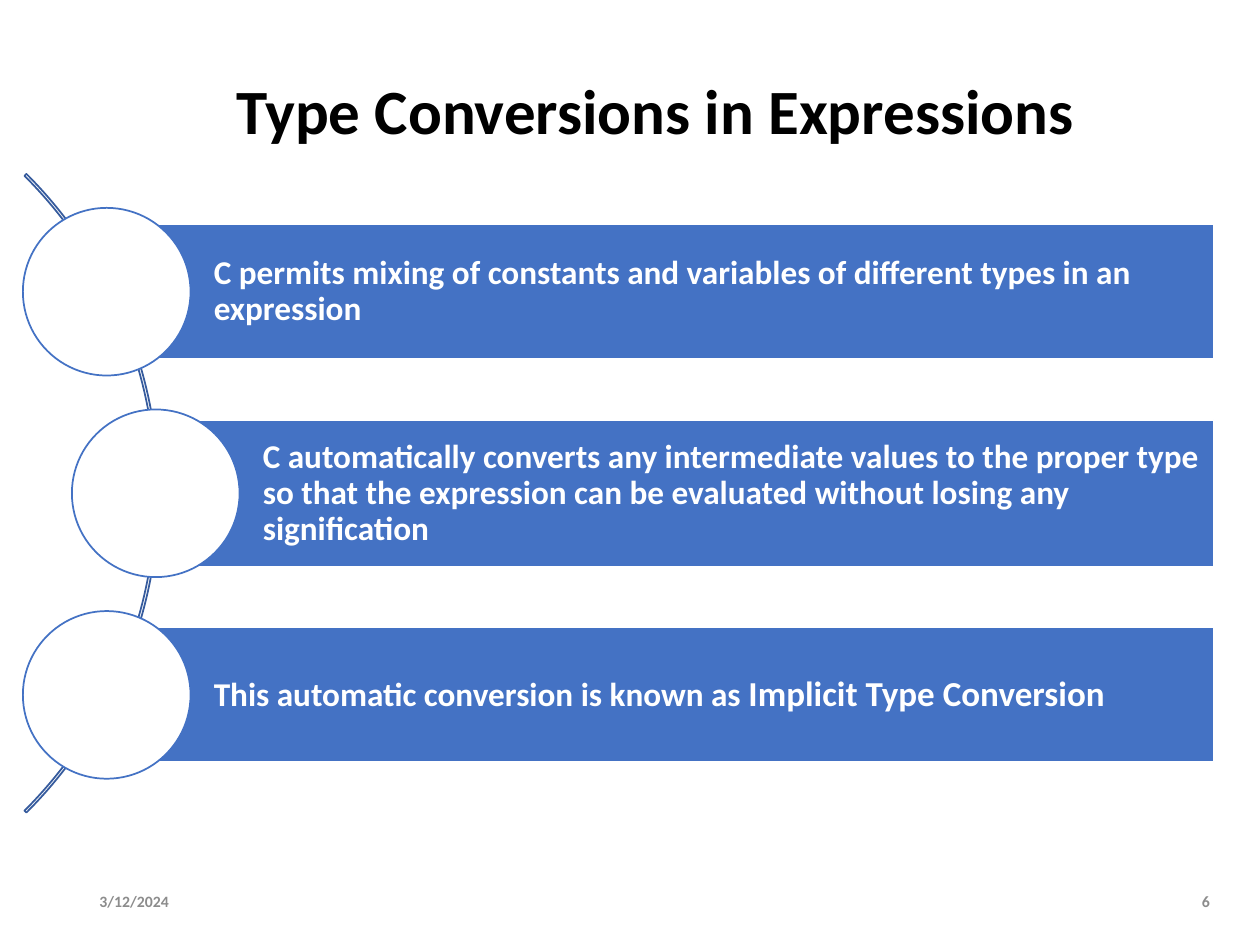
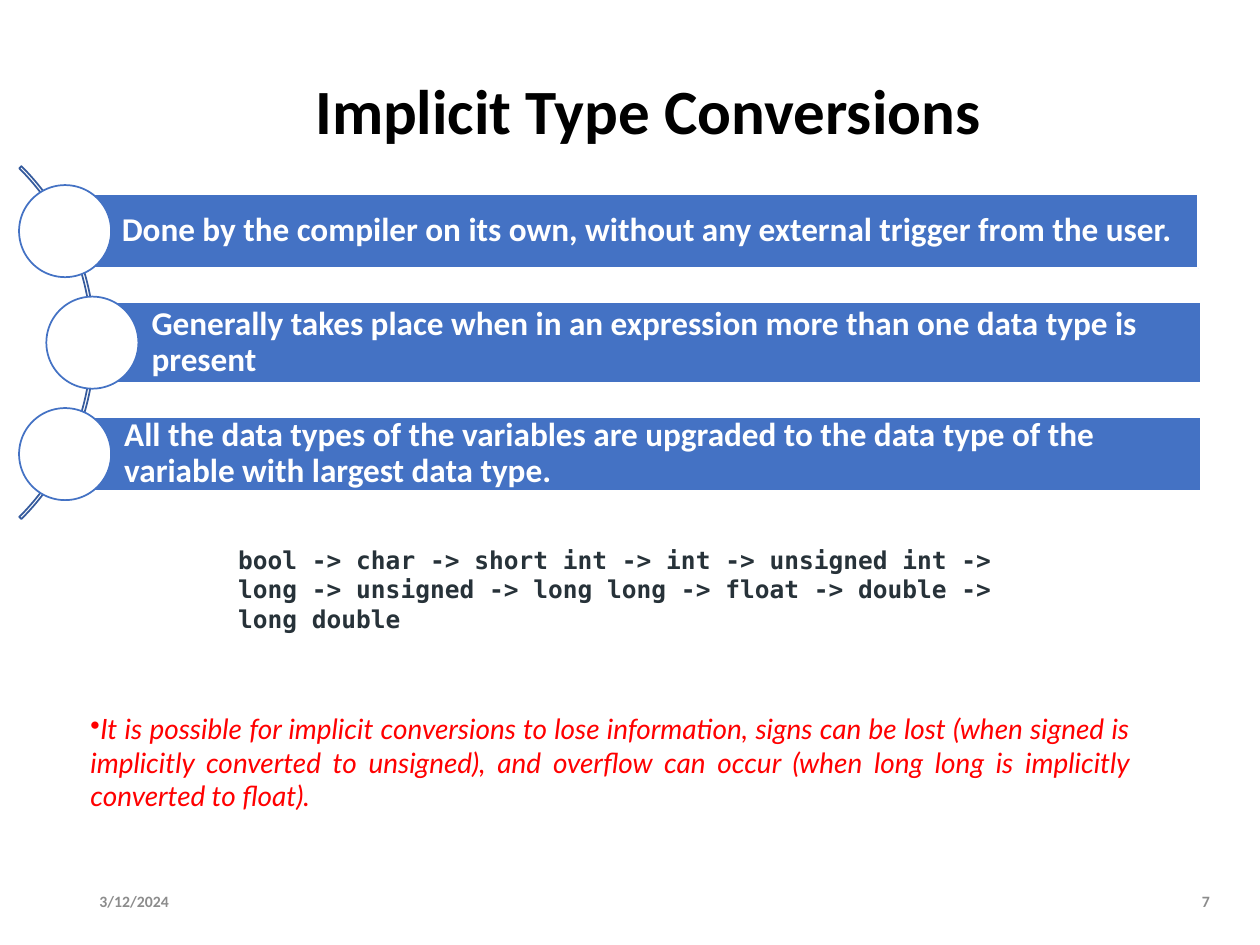
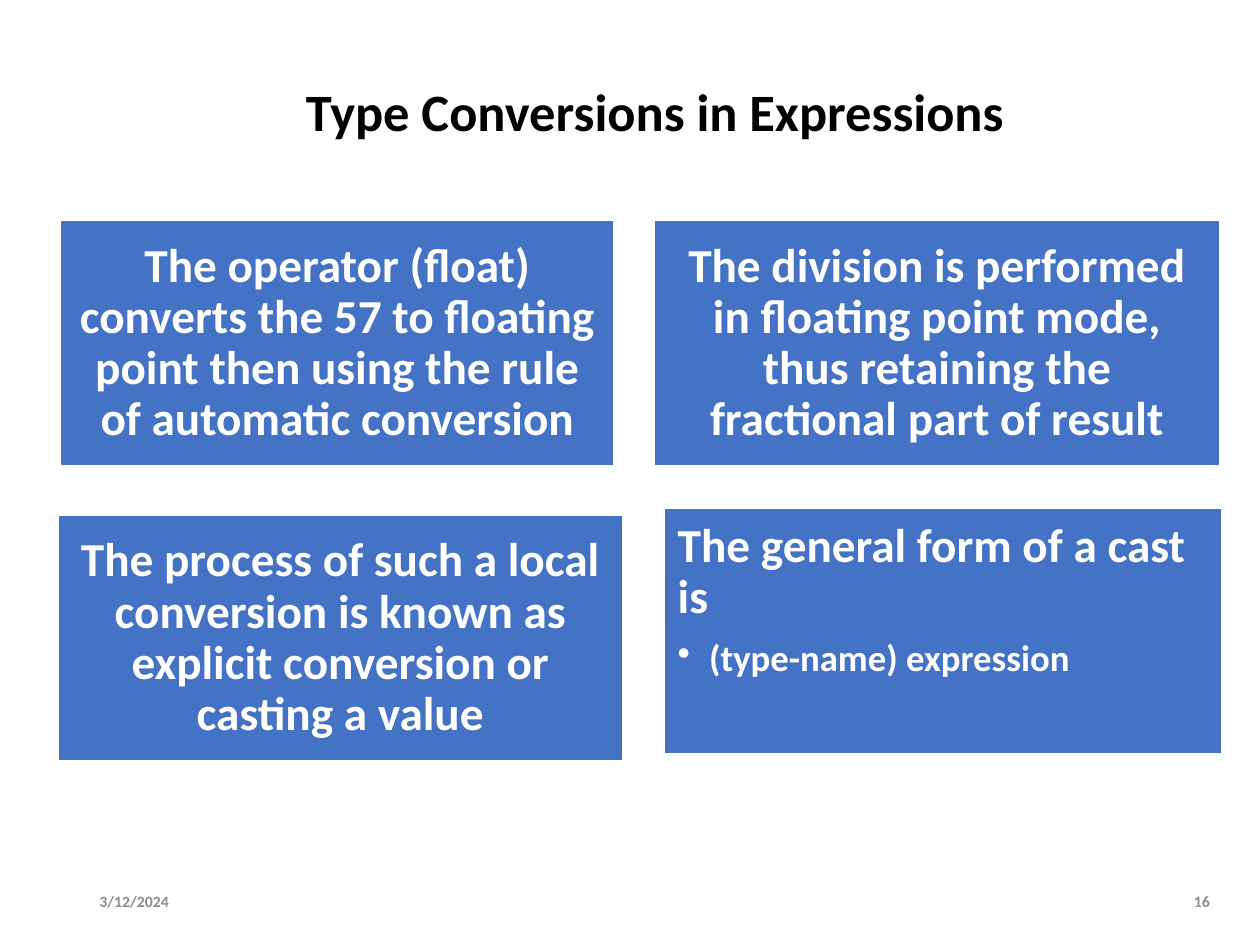
from dataclasses import dataclass

from lxml.etree import Element
from pptx import Presentation
from pptx.dml.color import RGBColor
from pptx.enum.shapes import MSO_SHAPE
from pptx.enum.text import MSO_ANCHOR, PP_ALIGN
from pptx.oxml.ns import qn
from pptx.util import Pt


@dataclass(frozen=True)
class Theme:
    # Colours
    black: str = "000000"
    white: str = "FFFFFF"
    blue: str = "4472C4"
    dark_blue: str = "365B9D"
    grey: str = "8C8C8C"
    code: str = "273239"
    red: str = "FF0000"
    # Fonts
    body_font: str = "Calibri"
    code_font: str = "DejaVu Sans Mono"
    note_font: str = "Lato"
    # Type sizes
    title_size: int = 36
    small_title_size: int = 30
    card_size: int = 27
    card_item_size: int = 21
    row_size: int = 19
    term_size: int = 20
    note_size: int = 16
    code_size: int = 14
    footer_size: int = 9


@dataclass(frozen=True)
class Row:
    """One bar of a curved list, with the circle at its left end."""
    pieces: tuple  # (text, size) pairs
    center_x: float
    height: float
    shift: float = 0


class Deck:
    def __init__(self, theme):
        self.theme = theme
        self.presentation = Presentation()
        self.presentation.slide_width = Pt(720)
        self.presentation.slide_height = Pt(540)
        self.slide = None

    # Slide frame: title, date and number
    def new_slide(self, title, number, title_size=None):
        theme = self.theme
        self.slide = self.presentation.slides.add_slide(
            self.presentation.slide_layouts[6])
        heading = self.text_box((49.7, 40.3, 649.4, 49.7))
        self.set_text(heading.paragraphs[0], [(title, title_size or theme.title_size)],
                      theme.black, align=PP_ALIGN.CENTER, spacing=0.9)
        for label, left, width, align in (
                ("3/12/2024", 49.7, 68.4, PP_ALIGN.LEFT),
                (str(number), 670.3, 28.1, PP_ALIGN.RIGHT)):
            footer = self.text_box((left, 500.4, width, 28.8))
            self.set_text(footer.paragraphs[0], [(label, theme.footer_size)],
                          theme.grey, align=align)

    # Text
    def text_box(self, place, anchor=MSO_ANCHOR.MIDDLE, insets=None):
        frame = self.slide.shapes.add_textbox(*map(Pt, place)).text_frame
        self.set_frame(frame, anchor, insets)
        return frame

    def set_frame(self, frame, anchor, insets):
        frame.word_wrap = True
        frame.vertical_anchor = anchor
        if insets:
            (frame.margin_left, frame.margin_top,
             frame.margin_right, frame.margin_bottom) = map(Pt, insets)

    def set_text(self, paragraph, pieces, color, align=PP_ALIGN.LEFT, spacing=1.0,
                 font=None, bold=True, italic=False):
        paragraph.alignment = align
        paragraph.line_spacing = spacing
        style = paragraph.font
        style.name = font or self.theme.body_font
        style.bold = bold
        style.italic = italic
        style.color.rgb = RGBColor.from_string(color)
        style.size = Pt(pieces[0][1])
        for text, size in pieces:
            run = paragraph.add_run()
            run.text = text
            if size != pieces[0][1]:
                run.font.size = Pt(size)

    def bullet(self, paragraph, indent=0):
        properties = paragraph._p.get_or_add_pPr()
        properties.set("marL", str(Pt(indent)))
        properties.set("indent", str(-Pt(indent)))
        mark = Element(qn("a:buChar"), char="•")
        properties.find(qn("a:defRPr")).addprevious(mark)

    # Shapes
    def shape(self, kind, place, fill, line):
        shape = self.slide.shapes.add_shape(kind, *map(Pt, place))
        shape.shadow.inherit = False
        if fill:
            shape.fill.solid()
            shape.fill.fore_color.rgb = RGBColor.from_string(fill)
        else:
            shape.fill.background()
        shape.line.color.rgb = RGBColor.from_string(line)
        shape.line.width = Pt(1)
        return shape

    def panel(self, place, anchor, insets):
        panel = self.shape(MSO_SHAPE.RECTANGLE, place, self.theme.blue, self.theme.white)
        self.set_frame(panel.text_frame, anchor, insets)
        return panel.text_frame

    # Curved list: an arc with bars and circles centred on it
    def curved_list(self, rows, middle_y, step, circle, right, inset,
                    arc_left, arc_size, arc_thickness):
        theme = self.theme
        arc = self.shape(MSO_SHAPE.BLOCK_ARC,
                         (arc_left, middle_y - arc_size / 2, arc_size, arc_size),
                         None, theme.dark_blue)
        for index, value in enumerate((189, 27, arc_thickness)):
            arc.adjustments[index] = value
        for index, row in enumerate(rows):
            center_y = middle_y + (index - (len(rows) - 1) / 2) * step
            bar = self.panel((row.center_x + row.shift, center_y - row.height / 2,
                              right - row.center_x, row.height),
                             MSO_ANCHOR.MIDDLE, (inset, 3.6, 3.6, 3.6))
            self.set_text(bar.paragraphs[0], row.pieces, theme.white, spacing=0.9)
            self.shape(MSO_SHAPE.OVAL,
                       (row.center_x - circle / 2, center_y - circle / 2, circle, circle),
                       theme.white, theme.blue)

    # Card: a centred statement, or a heading with bulleted items
    def card(self, place, text, items=()):
        theme = self.theme
        frame = self.panel(place, MSO_ANCHOR.TOP if items else MSO_ANCHOR.MIDDLE, (7.9,) * 4)
        heading = frame.paragraphs[0]
        self.set_text(heading, [(text, theme.card_size)], theme.white, spacing=0.9,
                      align=PP_ALIGN.LEFT if items else PP_ALIGN.CENTER)
        for item in items:
            heading.space_after = Pt(9)
            entry = frame.add_paragraph()
            self.set_text(entry, [(item, theme.card_item_size)], theme.white, spacing=0.9)
            entry.level = 1
            self.bullet(entry, 18)


def mixed_expressions(deck):
    theme = deck.theme
    deck.new_slide("Type Conversions in Expressions", 6)
    deck.curved_list(
        [Row((("C permits mixing of constants and variables of different types "
               "in an expression", theme.row_size),), 61, 77),
         Row((("C automatically converts any intermediate values to the proper type "
               "so that the expression can be evaluated without losing any "
               "signification", theme.row_size),), 89, 84),
         Row((("This automatic conversion is known as ", theme.row_size),
              ("Implicit Type Conversion", theme.term_size)), 61, 77)],
        middle_y=281.9, step=115.2, circle=95.8, right=693.4, inset=61.2,
        arc_left=-425.5, arc_size=516.2, arc_thickness=0.003)


def implicit_conversions(deck):
    theme = deck.theme
    deck.new_slide("Implicit Type Conversions ", 7)
    deck.curved_list(
        [Row((("Done by the compiler on its own, without any external trigger "
               "from the user.", theme.row_size),), 37.2, 42.5, -1.4),
         Row((("Generally takes place when in an expression more than one data type "
               "is present", theme.row_size),), 52.8, 46.5),
         Row((("All the data types of the variables are upgraded to the data type "
               "of the variable with largest data type.", theme.row_size),), 37.2, 42.5)],
        middle_y=195.8, step=63.7, circle=52.6, right=686.2, inset=33.8,
        arc_left=-231.1, arc_size=285.1, arc_thickness=0.006)

    # Order of promotion
    promotion = deck.text_box((136.1, 319.7, 457.2, 33.8), insets=(0, 0, 0, 0))
    deck.set_text(promotion.paragraphs[0],
                  [("bool -> char -> short int -> int -> unsigned int -> long -> unsigned -> "
                    "long long -> float -> double -> long double", theme.code_size)],
                  theme.code, font=theme.code_font)

    # Warning
    warning = deck.text_box((44.6, 403.2, 608.4, 65.5), anchor=MSO_ANCHOR.TOP)
    deck.set_text(warning.paragraphs[0],
                  [("It is possible for implicit conversions to lose information, signs can be "
                    "lost (when signed is implicitly converted to unsigned), and overflow can "
                    "occur (when long long is implicitly converted to float).",
                    theme.note_size)],
                  theme.red, align=PP_ALIGN.JUSTIFY, font=theme.note_font,
                  bold=False, italic=True)
    deck.bullet(warning.paragraphs[0])


def explicit_conversions(deck):
    deck.new_slide("Type Conversions in Expressions", 16, deck.theme.small_title_size)
    height = 140.4
    deck.card((34.6, 126, 316.1, height),
              "The operator (float) converts the 57 to floating point then using "
              "the rule of automatic conversion")
    deck.card((373.7, 126, 323.3, height),
              "The division is performed in floating point mode, thus retaining "
              "the fractional part of result")
    deck.card((33.1, 294.5, 322.6, height),
              "The process of such a local conversion is known as explicit conversion "
              "or casting a value")
    deck.card((379.4, 290.2, 319, height),
              "The general form of a cast is", ["(type-name) expression"])


def main():
    deck = Deck(Theme())
    mixed_expressions(deck)
    implicit_conversions(deck)
    explicit_conversions(deck)
    deck.presentation.save("out.pptx")


if __name__ == "__main__":
    main()
